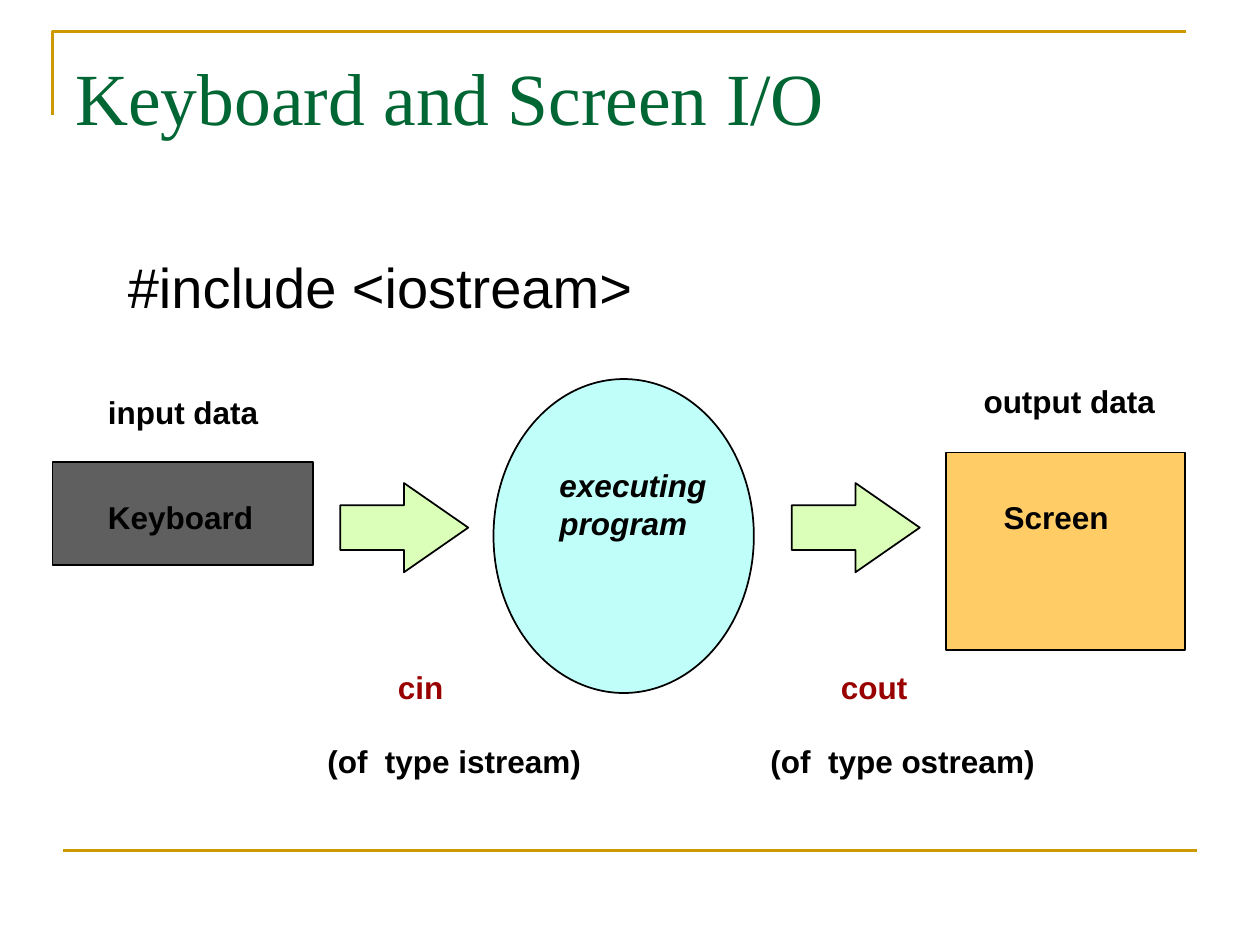
from lxml import etree
from pptx import Presentation
from pptx.dml.color import RGBColor
from pptx.enum.shapes import MSO_CONNECTOR, MSO_SHAPE
from pptx.enum.text import MSO_ANCHOR, PP_ALIGN
from pptx.oxml.ns import qn
from pptx.util import Inches, Pt

STRAIGHT = MSO_CONNECTOR.STRAIGHT
OVAL, RECTANGLE, ARROW = MSO_SHAPE.OVAL, MSO_SHAPE.RECTANGLE, MSO_SHAPE.RIGHT_ARROW
TOP, LEFT = MSO_ANCHOR.TOP, PP_ALIGN.LEFT

BLACK = RGBColor(0x00, 0x00, 0x00)
GOLD = RGBColor(0xCC, 0x99, 0x00)
GREEN = RGBColor(0x00, 0x66, 0x33)
RED = RGBColor(0x99, 0x00, 0x00)
CYAN = RGBColor(0xC0, 0xFE, 0xF9)
GRAY = RGBColor(0x5F, 0x5F, 0x5F)
ORANGE = RGBColor(0xFF, 0xCC, 0x66)
LIME = RGBColor(0xDB, 0xFF, 0xB8)

WIDTH, HEIGHT = Inches(10), Inches(7.5)
COLUMNS, ROWS = 120, 90

TITLE = {"name": "Times New Roman", "size": Pt(42)}
CODE = {"name": "Arial", "size": Pt(32)}
LABEL = {"name": "Arial", "size": Pt(18), "bold": True}
EMPHASIS = {**LABEL, "italic": True}


def col(count):
    """Return the length of a number of grid columns."""
    return round(WIDTH * count / COLUMNS)


def row(count):
    """Return the length of a number of grid rows."""
    return round(HEIGHT * count / ROWS)


def area(left, top, width, height):
    """Turn grid units into a position and a size."""
    return col(left), row(top), col(width), row(height)


def set_line(line, color, width):
    """Give a line its colour and width in points."""
    line.color.rgb = color
    line.width = Pt(width)


def add_corner(page, left, top, right, bottom):
    """Draw the open frame corner above the title."""
    builder = page.shapes.build_freeform(col(left), row(bottom))
    builder.add_line_segments(
        [(col(left), row(top)), (col(right), row(top))], close=False)
    corner = builder.convert_to_shape()
    corner.shadow.inherit = False
    corner.fill.background()
    set_line(corner.line, GOLD, 1.5)


def add_rule(page, left, right, level):
    """Draw a horizontal footer rule."""
    rule = page.shapes.add_connector(
        STRAIGHT, col(left), row(level), col(right), row(level))
    set_line(rule.line, GOLD, 1.5)
    etree.SubElement(rule._element.spPr, qn("a:effectLst"))


def add_block(page, kind, place, color):
    """Add a filled diagram shape with a black outline."""
    block = page.shapes.add_shape(kind, *area(*place))
    block.shadow.inherit = False
    block.fill.solid()
    block.fill.fore_color.rgb = color
    set_line(block.line, BLACK, 1)
    return block


def add_text(page, place, lines, style, wrap=False):
    """Add a text box of (text, colour) lines and return its paragraphs."""
    box = page.shapes.add_textbox(*area(*place))
    frame = box.text_frame
    frame.word_wrap = wrap
    frame.vertical_anchor = TOP
    for index, (text, color) in enumerate(lines):
        para = frame.paragraphs[0] if index == 0 else frame.add_paragraph()
        para.alignment = LEFT
        span = para.add_run()
        span.text = text
        for key, value in style.items():
            setattr(span.font, key, value)
        span.font.color.rgb = color
    return frame.paragraphs


def indent(para, distance):
    """Set the left margin of a paragraph."""
    properties = para._p.get_or_add_pPr()
    properties.set("marL", str(distance))
    properties.set("indent", "0")


def add_stream(page, left, width, name, kind):
    """Add a stream name with its type below."""
    lines = [(name, RED), (f"(of  type {kind})", BLACK)]
    name_para, type_para = add_text(page, (left, 63, width, 12), lines, LABEL)
    indent(name_para, Inches(0.56))
    type_para.space_before = Pt(20.7)


def main():
    """Build and save the slide."""
    deck = Presentation()
    deck.slide_width, deck.slide_height = WIDTH, HEIGHT
    page = deck.slides.add_slide(deck.slide_layouts[6])

    add_corner(page, 5, 3, 113, 11)
    add_rule(page, 6, 114, 81)
    add_text(page, (6, 4.4, 108, 14), [("Keyboard and Screen I/O", GREEN)], TITLE, True)
    include = add_text(page, (8, 23.5, 79, 9), [("#include <iostream>", BLACK)], CODE, True)
    indent(include[0], Inches(0.25))

    add_stream(page, 30, 26.6, "cin", "istream")
    add_stream(page, 72.2, 27.6, "cout", "ostream")

    add_block(page, OVAL, (47, 36.1, 24.8, 29.9), CYAN)
    add_block(page, RECTANGLE, (5, 44, 24.8, 9.8), GRAY)
    add_block(page, RECTANGLE, (90.1, 43.1, 22.8, 18.8), ORANGE)
    for left in (32.4, 75.4):
        arrow = add_block(page, ARROW, (left, 46, 12.2, 8.5), LIME)
        arrow.adjustments[1] = 0.72

    for left, top, width, text in (
        (9.1, 46.8, 16.3, "Keyboard"),
        (94.4, 46.8, 12.5, "Screen"),
        (9.1, 36.8, 16.8, "input data"),
        (92.5, 35.8, 18.7, "output data"),
    ):
        add_text(page, (left, top, width, 4.8), [(text, BLACK)], LABEL)
    program = [("executing", BLACK), ("program", BLACK)]
    add_text(page, (52.1, 43.8, 16.4, 8.4), program, EMPHASIS)

    deck.save("out.pptx")


if __name__ == "__main__":
    main()
